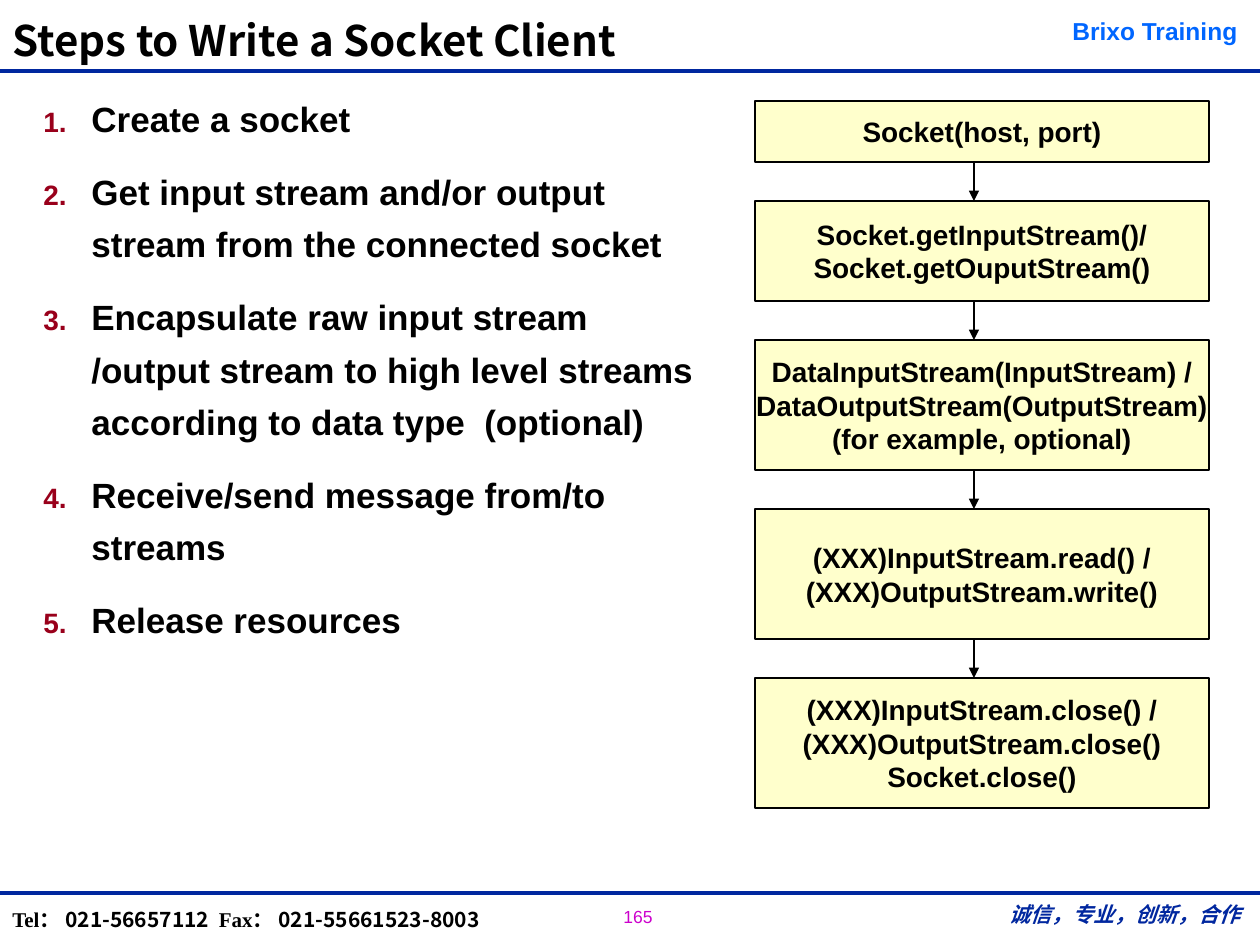
import pptx
import pptx.util
import pptx.dml.color
import pptx.enum.shapes
import pptx.enum.text
import pptx.oxml.ns
import lxml.etree

SCALE = 914400 / 126
SHAPE = pptx.enum.shapes.MSO_SHAPE
ALIGN = pptx.enum.text.PP_ALIGN
ANCHOR = pptx.enum.text.MSO_ANCHOR
SANS = "Noto Sans CJK SC"
SERIF = "Times New Roman"
NAVY = "00279F"
BLACK = "000000"

STEPS = [
    "Create a socket",
    "Get input stream and/or output stream from the connected socket",
    "Encapsulate raw input stream /output stream to high level streams "
    "according to data type  (optional)",
    "Receive/send message from/to streams",
    "Release resources",
]
CALLS = [
    (61, ["Socket(host, port)"]),
    (100, ["Socket.getInputStream()/", "Socket.getOuputStream()"]),
    (130, ["DataInputStream(InputStream) /", "DataOutputStream(OutputStream)",
           "(for example, optional)"]),
    (130, ["(XXX)InputStream.read() /", "(XXX)OutputStream.write()"]),
    (130, ["(XXX)InputStream.close() /", "(XXX)OutputStream.close()",
           "Socket.close()"]),
]


def px(num):
    return pptx.util.Emu(round(num * SCALE))


def tint(code):
    return pptx.dml.color.RGBColor.from_string(code)


def node(root, tag, **attrs):
    return lxml.etree.SubElement(root, pptx.oxml.ns.qn(tag), attrs)


def apply(item, form):
    for key, value in form.items():
        setattr(item, key, value)


def write(para, text, size, face, color, **form):
    run = para.add_run()
    run.text = text
    look = {"size": pptx.util.Pt(size), "name": face, "bold": True} | form
    apply(run.font, look)
    run.font.color.rgb = tint(color)
    node(run.font._element, "a:ea", typeface=SANS)


def label(slide, box, **form):
    shape = slide.shapes.add_textbox(*map(px, box))
    apply(shape.text_frame, {"word_wrap": True} | form)
    return shape.text_frame.paragraphs[0]


def link(slide, start, end, color, width, head=False):
    line = slide.shapes.add_connector(
        pptx.enum.shapes.MSO_CONNECTOR.STRAIGHT, *map(px, start + end))
    line.line.color.rgb = tint(color)
    line.line.width = pptx.util.Pt(width)
    if head:
        node(line.line._get_or_add_ln(), "a:tailEnd", type="triangle")
    node(line._element.spPr, "a:effectLst")


def header(slide, box):
    left, top, width, height = box
    link(slide, (left, top + height), (left + width, top + height), NAVY, 2.75)
    title = slide.shapes.title
    apply(title, dict(zip(("left", "top", "width", "height"),
                          map(px, (left, top, 1051, height + 1)))))
    apply(title.text_frame, {"vertical_anchor": ANCHOR.BOTTOM,
                             "auto_size": pptx.enum.text.MSO_AUTO_SIZE.NONE})
    para = title.text_frame.paragraphs[0]
    apply(para, {"alignment": ALIGN.LEFT, "line_spacing": 0.87})
    write(para, "Steps to Write a Socket Client", 24, SANS, BLACK)
    para = label(slide, (left + 1055, top + 10, 200, 42))
    para.alignment = ALIGN.CENTER
    write(para, "Brixo Training", 14, "Arial", "0066FF")


def steps(slide, box):
    first = label(slide, box)
    frame = first._parent
    for num, text in enumerate(STEPS):
        para = frame.add_paragraph() if num else first
        gap = pptx.util.Pt(5.9)
        apply(para, {"line_spacing": pptx.util.Pt(29.9), "space_after": gap,
                     "space_before": gap if num else pptx.util.Pt(0)})
        props = para._p.get_or_add_pPr()
        props.set("marL", str(px(79)))
        props.set("indent", str(px(-48)))
        node(node(props, "a:buClr"), "a:srgbClr", val="99001B")
        node(props, "a:buSzPct", val="80000")
        node(props, "a:buAutoNum", type="arabicPeriod")
        write(para, text, 20, "Arial", BLACK)


def flow(slide, box):
    left, top, width, gap = box
    for num, (height, lines) in enumerate(CALLS):
        shape = slide.shapes.add_shape(
            SHAPE.RECTANGLE, *map(px, (left, top, width, height)))
        shape.shadow.inherit = False
        shape.fill.solid()
        shape.fill.fore_color.rgb = tint("FFFFCC")
        shape.line.color.rgb = tint(BLACK)
        shape.line.width = pptx.util.Pt(0.75)
        frame = shape.text_frame
        apply(frame, {"word_wrap": False, "vertical_anchor": ANCHOR.MIDDLE})
        for row, text in enumerate(lines):
            para = frame.add_paragraph() if row else frame.paragraphs[0]
            para.alignment = ALIGN.CENTER
            write(para, text, 16, "Arial", BLACK)
        top += height
        if num < len(CALLS) - 1:
            link(slide, (left + 219, top), (left + 219, top + gap),
                 BLACK, 0.75, True)
        top += gap


def footer(slide, box):
    left, top, width = box
    link(slide, (left, top), (left + width, top), NAVY, 2.75)
    para = label(slide, (left, top - 14, 541, 63))
    write(para, "Tel： ", 12, SERIF, BLACK)
    write(para, "021-56657112", 12, SANS, BLACK)
    write(para, " ", 24, SANS, BLACK, italic=True)
    write(para, "Fax： ", 12, SERIF, BLACK)
    write(para, "021-55661523-8003", 12, SANS, BLACK)
    para = label(slide, (left + 611, top + 7, 105, 33), word_wrap=False)
    write(para, "165", 10, "Arial", "CC00CC", bold=False)
    para = label(slide, (left + 991, top - 4, 269, 50),
                 vertical_anchor=ANCHOR.MIDDLE)
    para.alignment = ALIGN.CENTER
    write(para, "诚信，专业，创新，合作", 12, SERIF, NAVY, italic=True)


def main():
    deck = pptx.Presentation()
    apply(deck, {"slide_width": px(1260), "slide_height": px(945)})
    slide = deck.slides.add_slide(deck.slide_layouts[5])
    header(slide, (0, 0, 1260, 71))
    steps(slide, (0, 81, 728, 803))
    flow(slide, (755, 101, 454, 39))
    footer(slide, (0, 893, 1260))
    deck.save("out.pptx")


if __name__ == "__main__":
    main()
